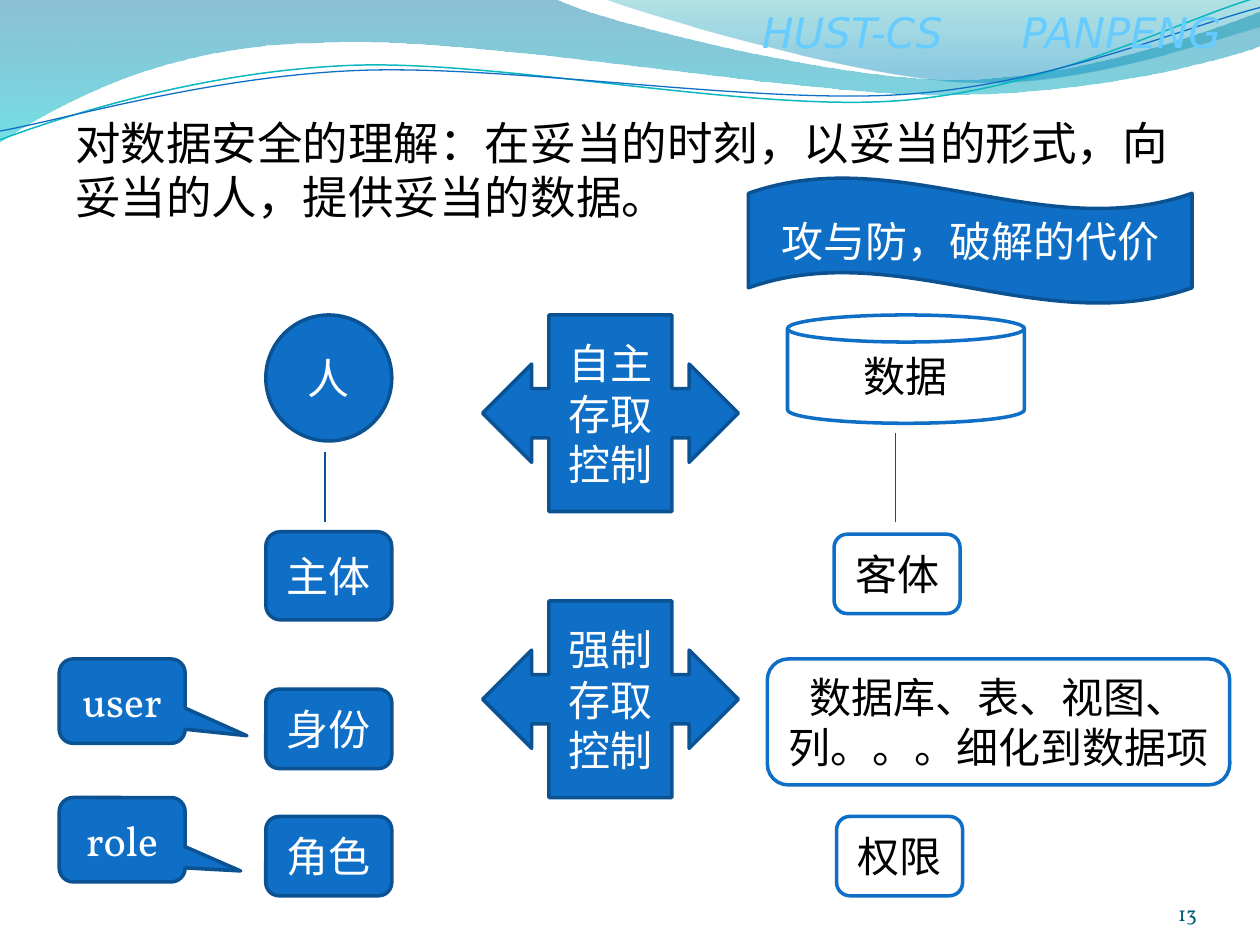
from dataclasses import dataclass

from lxml import etree
from pptx import Presentation
from pptx import util as u
from pptx.dml.color import RGBColor
from pptx.enum import shapes, text
from pptx.oxml.ns import qn

SLIDE_W, SLIDE_H = 10, 7.5
SHAPE = shapes.MSO_SHAPE


@dataclass(frozen=True)
class Theme:
    blue: str = "0F6FC6"
    edge: str = "0B5292"
    link: str = "095295"
    white: str = "FFFFFF"
    black: str = "000000"
    teal: str = "0AB8BF"
    header: str = "66CCFF"
    number: str = "045D75"
    label_font: str = "Vollkorn"
    body_font: str = "Times New Roman"
    header_font: str = "DejaVu Sans"
    label_size: int = 24
    body_size: int = 26
    number_size: int = 12
    outline: int = 2
    hairline: float = 0.75


THEME = Theme()

# Grid: left edge of each column, top edge of each row, in inches
COLUMN = {"account": 0.47, "subject": 2.11, "control": 3.83, "object": 6.62}
ROW = {"top": 2.5, "entity": 4.22, "detail": 5.23, "identity": 5.47, "role": 6.48}
BOX_W, BOX_H = 1, 0.63

# Waves of the header: start, then segments of one point (line) or three (Bezier)
BAND = [[(0, -0.01)], [(4.4, -0.01)],
        [(4.76, 0.17), (6.64, 0.63), (7.58, 0.63)],
        [(8.53, 0.63), (9.58, 0.26), (10, 0.09)], [(10.01, 0.36)],
        [(9.83, 0.44), (8.7, 0.76), (7.46, 0.75)],
        [(6.22, 0.75), (3.82, 0.28), (2.57, 0.34)],
        [(1.29, 0.35), (0.46, 0.83), (-0.01, 1.13)], [(0, -0.01)]]
CREST = [[(4.79, -0.01)], [(5.09, 0.11), (6.82, 0.62), (7.69, 0.65)],
         [(8.56, 0.69), (9.61, 0.32), (10, 0.21)], [(10, 0)], [(4.79, -0.01)]]
TEAL_CURVE = [[(0, 1.11)], [(0.48, 0.93), (1.58, 0.57), (2.77, 0.52)],
              [(3.95, 0.47), (5.93, 0.89), (7.13, 0.8)],
              [(8.33, 0.71), (9.38, 0.15), (9.98, -0.02)]]
BLUE_CURVE = [[(0, 1.04)], [(0.47, 0.96), (1.64, 0.61), (2.83, 0.56)],
              [(4.03, 0.51), (5.97, 0.83), (7.17, 0.75)],
              [(8.36, 0.67), (9.41, 0.21), (10, 0.06)]]


def rgb(value):
    return RGBColor.from_string(value)


def style_font(paragraph, face, size, color):
    paragraph.font.name = face
    paragraph.font.size = u.Pt(size)
    paragraph.font.color.rgb = rgb(color)


def add_wave(slide, outline, closed):
    (start,), *segments = [[tuple(map(u.Inches, point)) for point in segment]
                           for segment in outline]
    builder = slide.shapes.build_freeform(*start, scale=1.0)
    builder.add_line_segments([p for segment in segments for p in segment], close=closed)
    wave = builder.convert_to_shape()
    wave.shadow.inherit = False

    # Join the three points of each Bezier segment into one curve
    steps = iter(list(wave._element.spPr.iter(qn("a:lnTo"))))
    for segment in segments:
        group = [next(steps) for _ in segment]
        if len(group) == 3:
            curve = etree.Element(qn("a:cubicBezTo"))
            group[0].addprevious(curve)
            for step in group:
                curve.append(step[0])
                step.getparent().remove(step)
    return wave


def add_band(slide, outline, stops):
    """Filled wave; each stop is position, colour and opacity in percent."""
    band = add_wave(slide, outline, True)
    band.line.fill.background()
    band.fill.gradient()
    band.fill.gradient_angle = 270
    for stop, (position, color, _) in zip(band.fill.gradient_stops, stops):
        stop.position = position
        stop.color.rgb = rgb(color)
    colors = list(band._element.spPr.iter(qn("a:srgbClr")))
    for element, (_, _, opacity) in zip(colors, stops):
        etree.SubElement(element, qn("a:alpha"), val=str(opacity * 1000))


def add_curve(slide, outline, color, width):
    curve = add_wave(slide, outline, False)
    curve.fill.background()
    curve.line.color.rgb = rgb(color)
    curve.line.width = u.Pt(width)


def add_text(slide, area, words, face, size, color, tab=None):
    box = slide.shapes.add_textbox(*map(u.Inches, area))
    box.text_frame.word_wrap = True
    paragraph = box.text_frame.paragraphs[0]
    paragraph.text = words
    if tab:
        tabs = etree.SubElement(paragraph._p.get_or_add_pPr(), qn("a:tabLst"))
        etree.SubElement(tabs, qn("a:tab"), pos=str(u.Inches(tab)), algn="l")
    style_font(paragraph, face, size, color)
    return box.text_frame


def add_node(slide, kind, area, words, filled=True, adjust=()):
    node = slide.shapes.add_shape(kind, *map(u.Inches, area))
    node.shadow.inherit = False
    for index, value in enumerate(adjust):
        node.adjustments[index] = value
    node.fill.solid()
    node.fill.fore_color.rgb = rgb(THEME.blue if filled else THEME.white)
    node.line.color.rgb = rgb(THEME.edge if filled else THEME.blue)
    node.line.width = u.Pt(THEME.outline)
    node.text_frame.word_wrap = True
    node.text_frame.vertical_anchor = text.MSO_ANCHOR.MIDDLE
    label = node.text_frame.paragraphs[0]
    label.text = words
    label.alignment = text.PP_ALIGN.CENTER
    style_font(label, THEME.label_font, THEME.label_size,
               THEME.white if filled else THEME.black)


def add_link(slide, x, top, bottom):
    link = slide.shapes.add_connector(shapes.MSO_CONNECTOR.STRAIGHT,
                                      *map(u.Inches, (x, top, x, bottom)))
    link.line.color.rgb = rgb(THEME.link)
    link.line.width = u.Pt(THEME.hairline)
    etree.SubElement(link._element.spPr, qn("a:effectLst"))


def add_header(slide):
    add_band(slide, BAND, [(0, "0074A1", 45), (1, "00C6CF", 55)])
    add_band(slide, CREST, [(0, "00A1A9", 30), (0.8, "008BBF", 45)])
    add_curve(slide, TEAL_CURVE, THEME.teal, 0.85)
    add_curve(slide, BLUE_CURVE, THEME.blue, THEME.hairline)
    author = add_text(slide, (5.95, 0, 4.05, 0.5), "HUST-CS\tPANPENG",
                      THEME.header_font, THEME.label_size, THEME.header, tab=2.06)
    author.paragraphs[0].font.italic = True


def add_statement(slide):
    add_text(slide, (0.5, 0.86, 9, 1.02),
             "对数据安全的理解：在妥当的时刻，以妥当的形式，向妥当的人，提供妥当的数据。",
             THEME.body_font, THEME.body_size, THEME.black)


def add_page_number(slide):
    number = add_text(slide, (8.67, 6.95, 0.83, 0.4), "13",
                      THEME.label_font, THEME.number_size, THEME.number)
    number.margin_left = number.margin_right = 0
    number.margin_top = number.margin_bottom = 0
    number.vertical_anchor = text.MSO_ANCHOR.BOTTOM
    number.paragraphs[0].alignment = text.PP_ALIGN.RIGHT


def add_diagram(slide):
    account, subject, control, target = COLUMN.values()

    # Subjects: person, identity and role
    add_node(slide, SHAPE.OVAL, (subject, ROW["top"], BOX_W, 1), "人")
    add_link(slide, 2.58, 3.59, 4.14)
    for row, height, words in (("entity", 0.7, "主体"), ("identity", BOX_H, "身份"),
                               ("role", BOX_H, "角色")):
        add_node(slide, SHAPE.ROUNDED_RECTANGLE,
                 (subject, ROW[row], BOX_W, height), words)

    # Objects: data, its levels and permissions
    add_node(slide, SHAPE.CAN, (6.25, ROW["top"], 1.88, 0.86), "数据", False)
    add_link(slide, 7.11, 3.44, 4.14)
    for area, words in (((target, 4.24, BOX_W, BOX_H), "客体"),
                        ((6.09, ROW["detail"], 3.67, 1), "数据库、表、视图、列。。。细化到数据项"),
                        ((6.64, ROW["role"], BOX_W, BOX_H), "权限")):
        add_node(slide, SHAPE.ROUNDED_RECTANGLE, area, words, False)

    # Access control between both sides
    for index, words in enumerate(("自主存取控制", "强制存取控制")):
        add_node(slide, SHAPE.LEFT_RIGHT_ARROW_CALLOUT,
                 (control, ROW["top"] + 2.27 * index, 2.03, 1.56), words)

    # Callouts and banner
    for index, (words, tip) in enumerate((("user", (0.99, 0.41)), ("role", (0.94, 0.37)))):
        add_node(slide, SHAPE.ROUNDED_RECTANGULAR_CALLOUT,
                 (account, ROW["detail"] + 1.1 * index, BOX_W, 0.67), words, adjust=tip)
    add_node(slide, SHAPE.WAVE, (5.94, 1.41, 3.52, 1), "攻与防，破解的代价")


def main():
    deck = Presentation()
    deck.slide_width, deck.slide_height = u.Inches(SLIDE_W), u.Inches(SLIDE_H)
    slide = deck.slides.add_slide(deck.slide_layouts[6])
    add_header(slide)
    add_statement(slide)
    add_page_number(slide)
    add_diagram(slide)
    deck.save("out.pptx")


if __name__ == "__main__":
    main()
